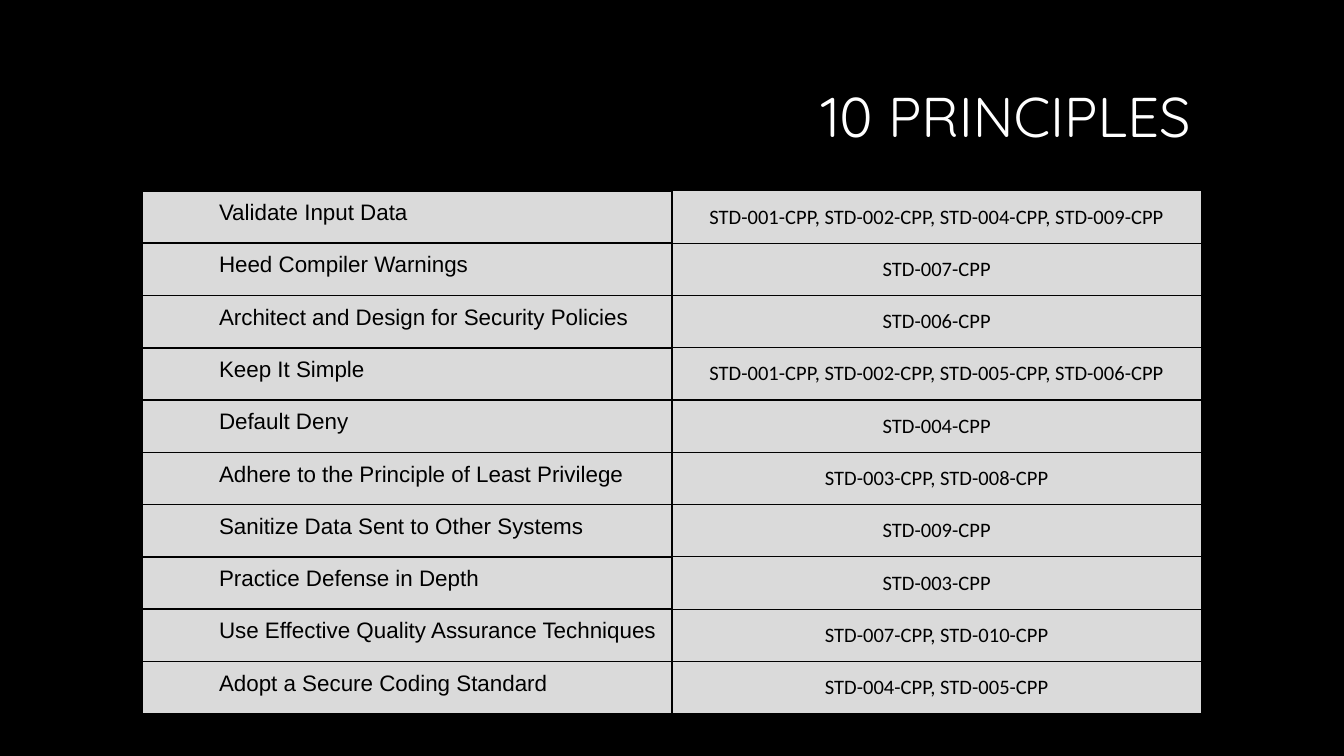
from lxml import etree
from pptx import Presentation
from pptx.dml.color import RGBColor
from pptx.enum import text
from pptx.oxml.ns import qn
from pptx.util import Inches, Pt

BLACK = RGBColor(0x00, 0x00, 0x00)
WHITE = RGBColor(0xFF, 0xFF, 0xFF)
GREY = RGBColor(0xDA, 0xDA, 0xDA)

# Each principle with the numbers of the coding standards that support it
PRINCIPLES = [
    ("Validate Input Data", (1, 2, 4, 9)),
    ("Heed Compiler Warnings", (7,)),
    ("Architect and Design for Security Policies", (6,)),
    ("Keep It Simple", (1, 2, 5, 6)),
    ("Default Deny", (4,)),
    ("Adhere to the Principle of Least Privilege", (3, 8)),
    ("Sanitize Data Sent to Other Systems", (9,)),
    ("Practice Defense in Depth", (3,)),
    ("Use Effective Quality Assurance Techniques", (7, 10)),
    ("Adopt a Secure Coding Standard", (4, 5)),
]
SLIDE_WIDTH = Inches(10)
SLIDE_HEIGHT = SLIDE_WIDTH * 9 // 16
COLUMN_WIDTH = Inches(3.94)
FIRST_ROW_HEIGHT = Inches(0.39)
ROW_HEIGHT = Inches(0.35)


def set_margins(target, horizontal, vertical):
    target.margin_left = target.margin_right = horizontal
    target.margin_top = target.margin_bottom = vertical


def set_font(para, name, size, color):
    para.font.name = name
    para.font.size = Pt(size)
    para.font.color.rgb = color


def set_borders(cell, widths):
    """Draw black borders; widths are points for left, right, top and bottom."""
    properties = cell._tc.get_or_add_tcPr()
    for index, (side, width) in enumerate(zip("LRTB", widths)):
        line = etree.Element(qn(f"a:ln{side}"), w=str(Pt(width)))
        fill = etree.SubElement(line, qn("a:solidFill"))
        etree.SubElement(fill, qn("a:srgbClr"), val=str(BLACK))
        properties.insert(index, line)


def fill_cell(cell, wording, font, size, margin, borders):
    """Style a cell and return its paragraph."""
    cell.fill.solid()
    cell.fill.fore_color.rgb = GREY
    set_margins(cell, margin, margin)
    set_borders(cell, borders)
    para = cell.text_frame.paragraphs[0]
    para.text = wording
    set_font(para, font, size, BLACK)
    return para


def add_title(page, wording):
    title = page.shapes.title
    title.left, title.top = Inches(1.87), Inches(0.36)
    title.width, title.height = Inches(7.06), Inches(1.06)
    frame = title.text_frame
    frame.vertical_anchor = text.MSO_ANCHOR.MIDDLE
    set_margins(frame, Inches(0.07), Inches(0.04))
    para = frame.paragraphs[0]
    para.text = wording
    para.alignment = text.PP_ALIGN.RIGHT
    para.line_spacing = 0.9
    set_font(para, "Quicksand", 30, WHITE)


def add_principles_table(page):
    height = FIRST_ROW_HEIGHT + ROW_HEIGHT * (len(PRINCIPLES) - 1)
    table = page.shapes.add_table(len(PRINCIPLES), 2, Inches(1.06), Inches(1.42),
                                  COLUMN_WIDTH * 2, height).table
    table.first_row = table.horz_banding = False
    for column in table.columns:
        column.width = COLUMN_WIDTH
    for index, (principle, numbers) in enumerate(PRINCIPLES):
        table.rows[index].height = ROW_HEIGHT if index else FIRST_ROW_HEIGHT
        para = fill_cell(table.cell(index, 0), principle, "Arial", 12,
                         Inches(0.07), (1, 1, 1, 1))
        para._p.get_or_add_pPr().set("marL", str(Inches(0.5)))
        standards = ", ".join(f"STD-{number:03}-CPP" for number in numbers)
        para = fill_cell(table.cell(index, 1), standards, "Calibri", 11,
                         Inches(0.1), (1, 0.75, 0.75, 0.75))
        para.alignment = text.PP_ALIGN.CENTER


def main():
    deck = Presentation()
    deck.slide_width, deck.slide_height = SLIDE_WIDTH, SLIDE_HEIGHT
    page = deck.slides.add_slide(deck.slide_layouts[5])
    page.background.fill.solid()
    page.background.fill.fore_color.rgb = BLACK
    add_title(page, "10 PRINCIPLES")
    add_principles_table(page)
    deck.save("out.pptx")


if __name__ == "__main__":
    main()
